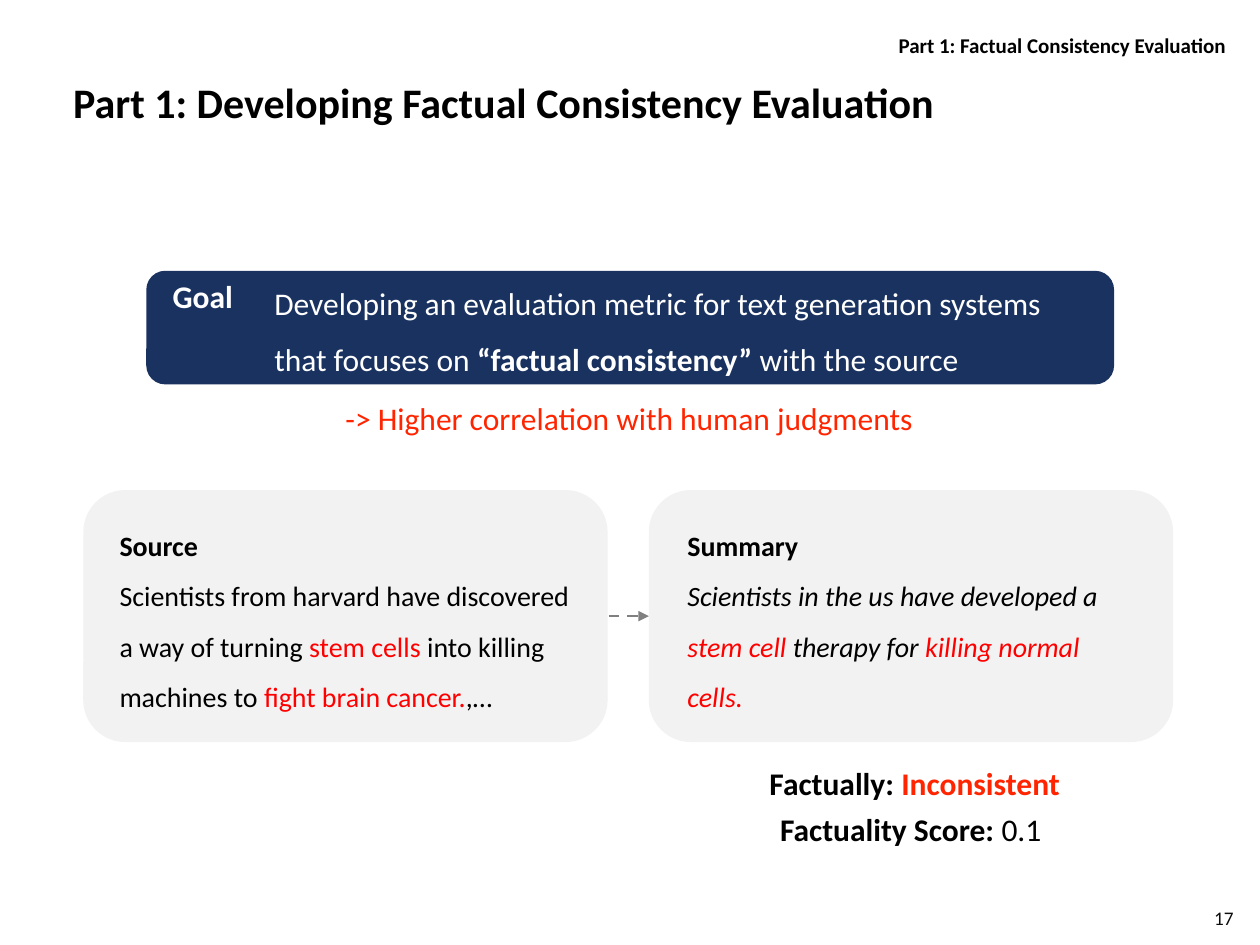
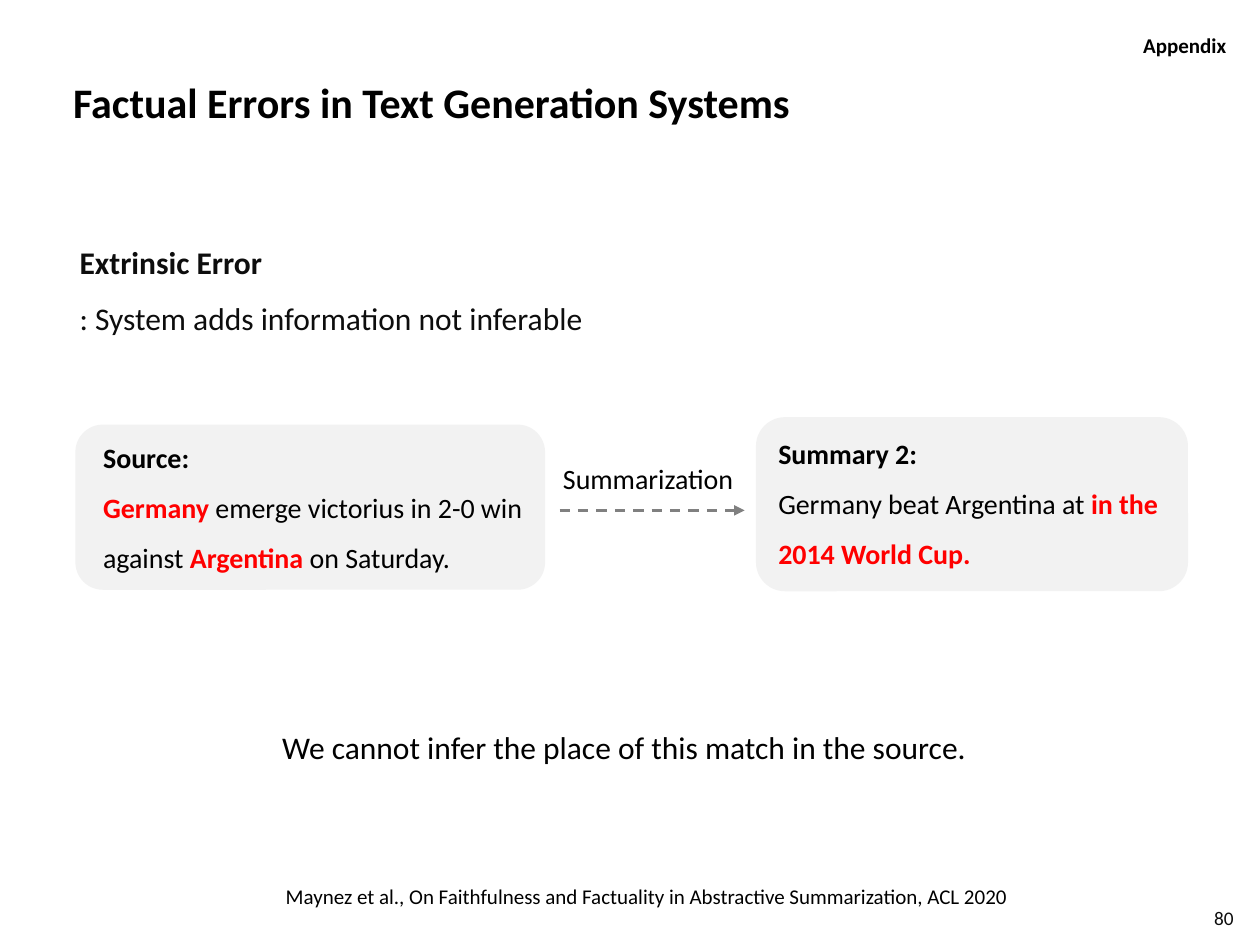
from lxml.etree import SubElement
from pptx import Presentation
from pptx.dml.color import RGBColor
from pptx.enum.dml import MSO_LINE
from pptx.enum.shapes import MSO_CONNECTOR, MSO_SHAPE
from pptx.enum.text import MSO_ANCHOR, PP_ALIGN
from pptx.oxml.ns import qn
from pptx.util import Cm, Pt

COLORS = {
    "black": "000000",
    "ink": "0D0D0D",
    "white": "FFFFFF",
    "navy": "1A3260",
    "card": "F2F2F2",
    "gray": "808080",
    "red": "FF0000",
    "scarlet": "FF2500",
}
FONT = "Calibri"
LEFT, CENTER, RIGHT = PP_ALIGN.LEFT, PP_ALIGN.CENTER, PP_ALIGN.RIGHT


def style_font(font, words):
    for word in words.split():
        if word in COLORS:
            font.color.rgb = RGBColor.from_string(COLORS[word])
        elif word in ("bold", "italic"):
            setattr(font, word, True)


def write_text(frame, paragraphs, size, align=LEFT, line_spacing=None):
    frame.word_wrap = True
    for index, (words, *runs) in enumerate(paragraphs):
        paragraph = frame.paragraphs[0] if index == 0 else frame.add_paragraph()
        paragraph.alignment = align
        paragraph.line_spacing = line_spacing
        paragraph.font.name = FONT
        paragraph.font.size = Pt(size)
        style_font(paragraph.font, words)
        for text, run_words in runs:
            run = paragraph.add_run()
            run.text = text
            style_font(run.font, run_words)


presentation = Presentation()
presentation.slide_width = Cm(25.4)
presentation.slide_height = Cm(19.05)

consistency_slide = {
    "layout": 5,
    "section": "Part 1: Factual Consistency Evaluation",
    "title": "Part 1: Developing Factual Consistency Evaluation",
    "number": "17",
    "cards": [
        ("navy", 2.95, 5.46, 19.51, 2.29),
        ("card", 1.68, 9.88, 10.57, 5.08),
        ("card", 13.08, 9.88, 10.57, 5.08),
    ],
    "texts": [
        ((5.23, 7.92, 14.91, 1.02), 18, CENTER, None, [
            ("scarlet", ("-> Higher correlation with human judgments", "")),
        ]),
        ((3.23, 5.46, 1.8, 1.02), 18, LEFT, None, [
            ("white bold", ("Goal", "")),
        ]),
        ((5.28, 5.21, 16.41, 2.57), 18, LEFT, 1.5, [
            ("white",
             ("Developing an evaluation metric for text generation systems that focuses on ", ""),
             ("“factual consistency”", "bold"),
             (" with the source", "")),
        ]),
        ((2.16, 10.19, 9.65, 4.24), 16, LEFT, 1.5, [
            ("black bold", ("Source", "")),
            ("black",
             ("Scientists from harvard have discovered a way of turning ", ""),
             ("stem cells ", "red"),
             ("into killing machines to ", ""),
             ("fight brain cancer.", "red"),
             (",…", "")),
        ]),
        ((13.61, 10.19, 9.65, 4.24), 16, LEFT, 1.5, [
            ("black bold", ("Summary", "")),
            ("black italic",
             ("Scientists in the us have developed a ", ""),
             ("stem cell ", "red"),
             ("therapy for ", ""),
             ("killing normal cells.", "red")),
        ]),
        ((15.19, 15.27, 6.5, 1.02), 18, CENTER, None, [
            ("black bold", ("Factually: ", ""), ("Inconsistent", "scarlet")),
        ]),
        ((13.94, 16.21, 8.84, 1.02), 18, CENTER, None, [
            ("black", ("Factuality Score: ", "bold"), ("0.1", "")),
        ]),
    ],
    "arrow": (12.27, 13.08, 12.42),
}

errors_slide = {
    "layout": 1,
    "section": "Appendix",
    "title": "Factual Errors in Text Generation Systems",
    "number": "80",
    "body": [
        ("ink bold", ("Extrinsic Error", "")),
        ("ink", (": System adds information not inferable", "")),
    ],
    "cards": [
        ("card", 1.52, 8.56, 9.47, 3.33),
        ("card", 15.24, 8.41, 8.71, 3.51),
    ],
    "texts": [
        ((1.83, 8.41, 9.17, 3.33), 16, LEFT, 1.5, [
            ("black bold", ("Source:", "")),
            ("black",
             ("Germany", "red bold"),
             (" emerge victorius in 2-0 win against ", ""),
             ("Argentina", "red bold"),
             (" on Saturday.", "")),
        ]),
        ((15.44, 8.33, 8.33, 3.33), 16, LEFT, 1.5, [
            ("black bold", ("Summary 2:", "")),
            ("black",
             ("Germany beat Argentina at ", ""),
             ("in the 2014 World Cup.", "red bold")),
        ]),
        ((11.1, 9.17, 5.26, 0.94), 16, LEFT, None, [
            ("black", ("Summarization", "")),
        ]),
        ((5.44, 14.55, 15.42, 1.02), 18, LEFT, None, [
            ("black", ("We cannot infer the place of this match in the source.", "")),
        ]),
        ((3.73, 17.68, 18.62, 0.76), 12, CENTER, None, [
            ("black", ("Maynez et al., On Faithfulness and Factuality in Abstractive Summarization, ACL 2020", "")),
        ]),
    ],
    "arrow": (11.28, 15.01, 10.29),
}

for content in (consistency_slide, errors_slide):
    slide = presentation.slides.add_slide(presentation.slide_layouts[content["layout"]])

    title = slide.shapes.title
    title.left, title.top, title.width, title.height = Cm(1.22), Cm(1.37), Cm(22.99), Cm(1.35)
    title.text_frame.vertical_anchor = MSO_ANCHOR.MIDDLE
    write_text(title.text_frame, [("black bold", (content["title"], ""))], 24)

    if "body" in content:
        body = slide.placeholders[1]
        body.left, body.top, body.width, body.height = Cm(1.22), Cm(4.62), Cm(19.58), Cm(2.26)
        body.text_frame.vertical_anchor = MSO_ANCHOR.TOP
        write_text(body.text_frame, content["body"], 18, line_spacing=1.2)
        for index, paragraph in enumerate(body.text_frame.paragraphs):
            paragraph.space_before = Pt(3.6 if index else 0)
            paragraph.space_after = Pt(2.5)
            properties = paragraph._p.get_or_add_pPr()
            properties.set("marL", str(Cm(0.13)))
            properties.set("indent", "0")
            bullet = SubElement(properties, qn("a:buNone"))
            properties.find(qn("a:defRPr")).addprevious(bullet)

    for color, left, top, width, height in content["cards"]:
        card = slide.shapes.add_shape(
            MSO_SHAPE.ROUNDED_RECTANGLE, Cm(left), Cm(top), Cm(width), Cm(height))
        card.shadow.inherit = False
        card.fill.solid()
        card.fill.fore_color.rgb = RGBColor.from_string(COLORS[color])
        card.line.fill.background()

    page_texts = [
        ((17.78, 0.53, 7.19, 0.76), 12, RIGHT, None, [("black bold", (content["section"], ""))]),
        ((22.48, 18.24, 2.64, 0.53), 11, RIGHT, None, [("ink", (content["number"], ""))]),
    ]
    for box, size, align, line_spacing, paragraphs in content["texts"] + page_texts:
        text_box = slide.shapes.add_textbox(*map(Cm, box))
        write_text(text_box.text_frame, paragraphs, size, align, line_spacing)
    text_box.text_frame.vertical_anchor = MSO_ANCHOR.MIDDLE

    start, end, height = content["arrow"]
    arrow = slide.shapes.add_connector(
        MSO_CONNECTOR.STRAIGHT, Cm(start), Cm(height), Cm(end), Cm(height))
    arrow.line.color.rgb = RGBColor.from_string(COLORS["gray"])
    arrow.line.width = Pt(1.5)
    arrow.line.dash_style = MSO_LINE.DASH
    SubElement(arrow.line._get_or_add_ln(), qn("a:tailEnd"), type="triangle")
    SubElement(arrow._element.spPr, qn("a:effectLst"))

presentation.save("out.pptx")
